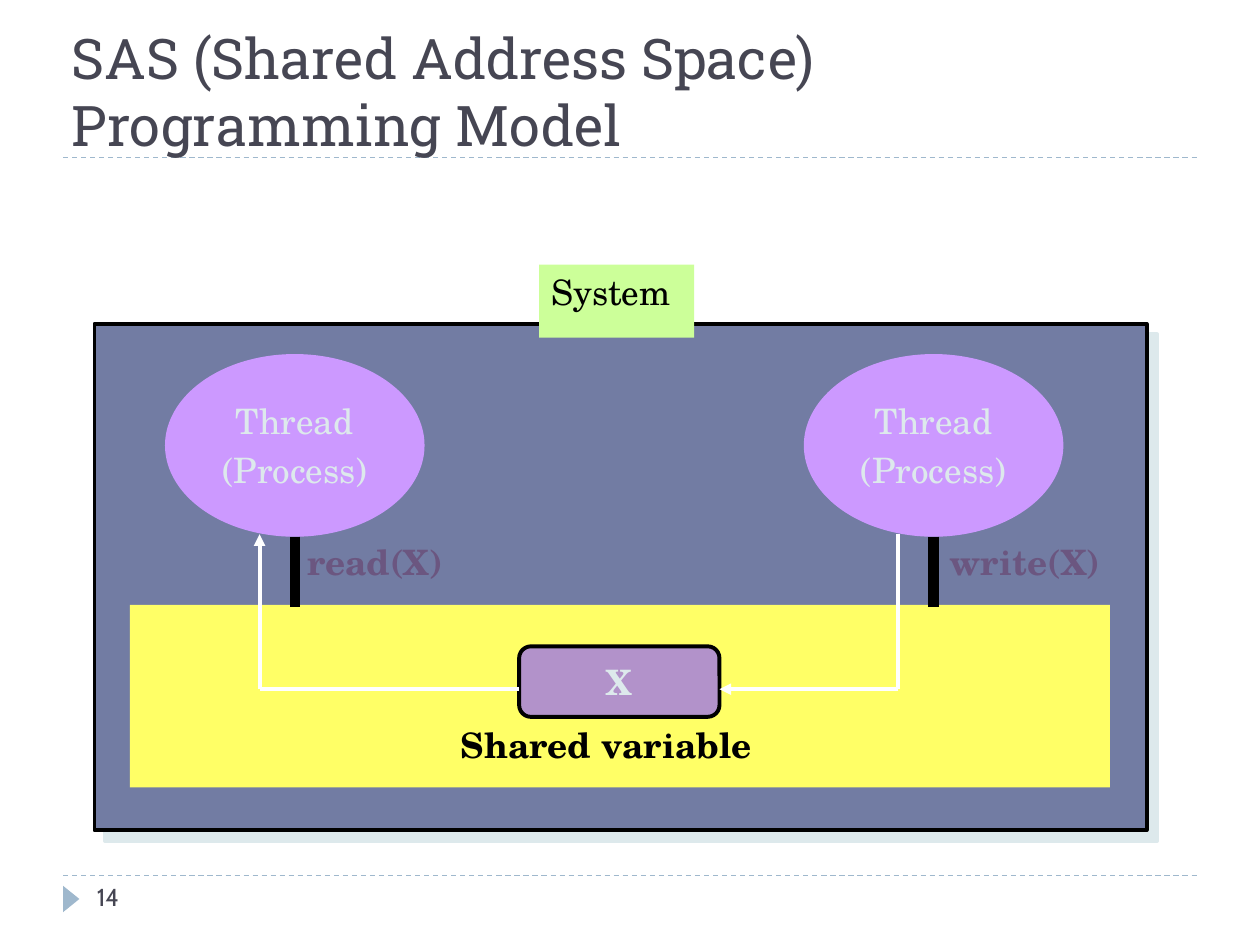
from lxml import etree
from pptx import Presentation
from pptx import util as u
from pptx.dml.color import RGBColor
from pptx.enum import dml, shapes, text
from pptx.oxml import ns

# Grid: 100 columns by 75 rows on a 10 x 7.5 inch page
COLS, ROWS = 100, 75
WIDTH, HEIGHT = u.Inches(10), u.Inches(7.5)

BLACK = RGBColor(0x00, 0x00, 0x00)
WHITE = RGBColor(0xFF, 0xFF, 0xFF)
INK = RGBColor(0x46, 0x46, 0x53)
RULE = RGBColor(0x9F, 0xB8, 0xCD)
PALE = RGBColor(0xDD, 0xE9, 0xEC)
SLATE = RGBColor(0x72, 0x7C, 0xA3)
LILAC = RGBColor(0xCC, 0x99, 0xFF)
YELLOW = RGBColor(0xFF, 0xFF, 0x66)
GREEN = RGBColor(0xCC, 0xFF, 0x99)
MAUVE = RGBColor(0xB2, 0x92, 0xCA)
PLUM = RGBColor(0x6B, 0x56, 0x80)

TITLE_FONT, BODY_FONT, NUMBER_FONT = "Roboto Slab", "TeX Gyre Schola", "Cabin"
KINDS = shapes.MSO_SHAPE


def col(count):
    return round(WIDTH * count / COLS)


def row(count):
    return round(HEIGHT * count / ROWS)


def frame(left, top, width, height):
    return col(left), row(top), col(width), row(height)


def write(box, words, font=BODY_FONT, size=20, color=BLACK, bold=False,
          align=text.PP_ALIGN.LEFT, anchor=text.MSO_ANCHOR.TOP, wrap=True):
    """Put words in a box, one paragraph per line."""
    body = box.text_frame
    body.word_wrap = wrap
    body.vertical_anchor = anchor
    for index, line in enumerate(words.split("\n")):
        para = body.add_paragraph() if index else body.paragraphs[0]
        para.alignment = align
        if index:
            para.space_before = u.Pt(size * 0.2)
        span = para.add_run()
        span.text = line
        span.font.name = font
        span.font.size = u.Pt(size)
        span.font.bold = bold
        span.font.color.rgb = color


def add_label(page, place, words, **style):
    box = page.shapes.add_textbox(*frame(*place))
    write(box, words, **style)
    return box


def add_block(page, kind, place, fill, outline=None):
    block = page.shapes.add_shape(kind, *frame(*place))
    block.shadow.inherit = False
    block.fill.solid()
    block.fill.fore_color.rgb = fill
    if outline is None:
        block.line.fill.background()
    else:
        block.line.color.rgb = outline
        block.line.width = u.Pt(2.25)
    return block


def add_centred(page, kind, place, fill, words, outline=None, **style):
    block = add_block(page, kind, place, fill, outline)
    write(block, words, align=text.PP_ALIGN.CENTER,
          anchor=text.MSO_ANCHOR.MIDDLE, wrap=False, **style)
    return block


def add_line(page, start, end, color, width, dashed=False, arrow=False):
    line = page.shapes.add_connector(
        shapes.MSO_CONNECTOR.STRAIGHT,
        col(start[0]), row(start[1]), col(end[0]), row(end[1]))
    line.line.color.rgb = color
    line.line.width = u.Pt(width)
    if dashed:
        line.line.dash_style = dml.MSO_LINE.DASH
    if arrow:
        etree.SubElement(line.line._get_or_add_ln(), ns.qn("a:tailEnd"),
                         type="triangle")
    etree.SubElement(line._element.spPr, ns.qn("a:effectLst"))


def add_drop_shadow(block, color, distance):
    """Give a block a hard shadow to the lower right."""
    effects = block._element.spPr.find(ns.qn("a:effectLst"))
    shadow = etree.SubElement(
        effects, ns.qn("a:outerShdw"), blurRad="0",
        dist=str(u.Pt(distance)), dir=str(45 * 60000),
        algn="ctr", rotWithShape="0")
    etree.SubElement(shadow, ns.qn("a:srgbClr"), val=str(color))


def add_furniture(page):
    # Rules, title and page number
    for level in (69.5, 12.5):
        add_line(page, (5, level), (95, level), RULE, 0.75, dashed=True)
    marker = add_block(page, KINDS.ISOSCELES_TRIANGLE,
                       (4.6, 70.7, 2.1, 1.3), RULE)
    marker.rotation = 90
    add_label(page, (4.7, 0.5, 88.6, 12.5),
              "SAS (Shared Address Space) Programming Model",
              font=TITLE_FONT, size=32, color=INK,
              anchor=text.MSO_ANCHOR.BOTTOM)
    add_label(page, (6.7, 69.5, 21.7, 4), "14",
              font=NUMBER_FONT, size=14, color=INK)


def add_system(page):
    # System frame, shared memory and its tab
    system = add_block(page, KINDS.RECTANGLE, (7.5, 25.7, 83.5, 40.2),
                       SLATE, BLACK)
    add_drop_shadow(system, PALE, 8.5)
    add_block(page, KINDS.RECTANGLE, (10.3, 48, 77.8, 14.5), YELLOW)
    tab = add_block(page, KINDS.RECTANGLE, (42.8, 21, 12.3, 5.8), GREEN)
    write(tab, "System")


def add_thread(page, centre, call, call_left):
    # Thread, its link to the shared memory and its call
    width, top, height = 20.6, 28.1, 14.5
    add_centred(page, KINDS.OVAL, (centre - width / 2, top, width, height),
                LILAC, "Thread\n(Process)", color=PALE)
    add_line(page, (centre, top + height), (centre, 48.2), BLACK, 6)
    add_label(page, (call_left, 42.4, 16, 5.8), call, color=PLUM, bold=True)


def add_variable(page, reader, writer):
    # Shared variable with the read and write routes
    left, width = 41.2, 15.9
    add_centred(page, KINDS.ROUNDED_RECTANGLE, (left, 51.3, width, 5.6),
                MAUVE, "X", outline=BLACK, color=PALE, bold=True)
    add_label(page, (35.6, 56.9, 27.6, 5.8), "Shared variable", bold=True)
    high, low = 42.4, 54.7
    routes = (
        ((left, low), (reader, low), (reader, high)),
        ((writer, high), (writer, low), (left + width, low)),
    )
    for start, corner, end in routes:
        add_line(page, start, corner, WHITE, 2.25)
        add_line(page, corner, end, WHITE, 2.25, arrow=True)


def main():
    deck = Presentation()
    deck.slide_width, deck.slide_height = WIDTH, HEIGHT
    page = deck.slides.add_slide(deck.slide_layouts[6])
    reader, writer, route_offset = 23.4, 74.1, 2.8
    add_furniture(page)
    add_system(page)
    add_thread(page, reader, "read(X)", 23.4)
    add_thread(page, writer, "write(X)", 74.4)
    add_variable(page, reader - route_offset, writer - route_offset)
    deck.save("out.pptx")


if __name__ == "__main__":
    main()
